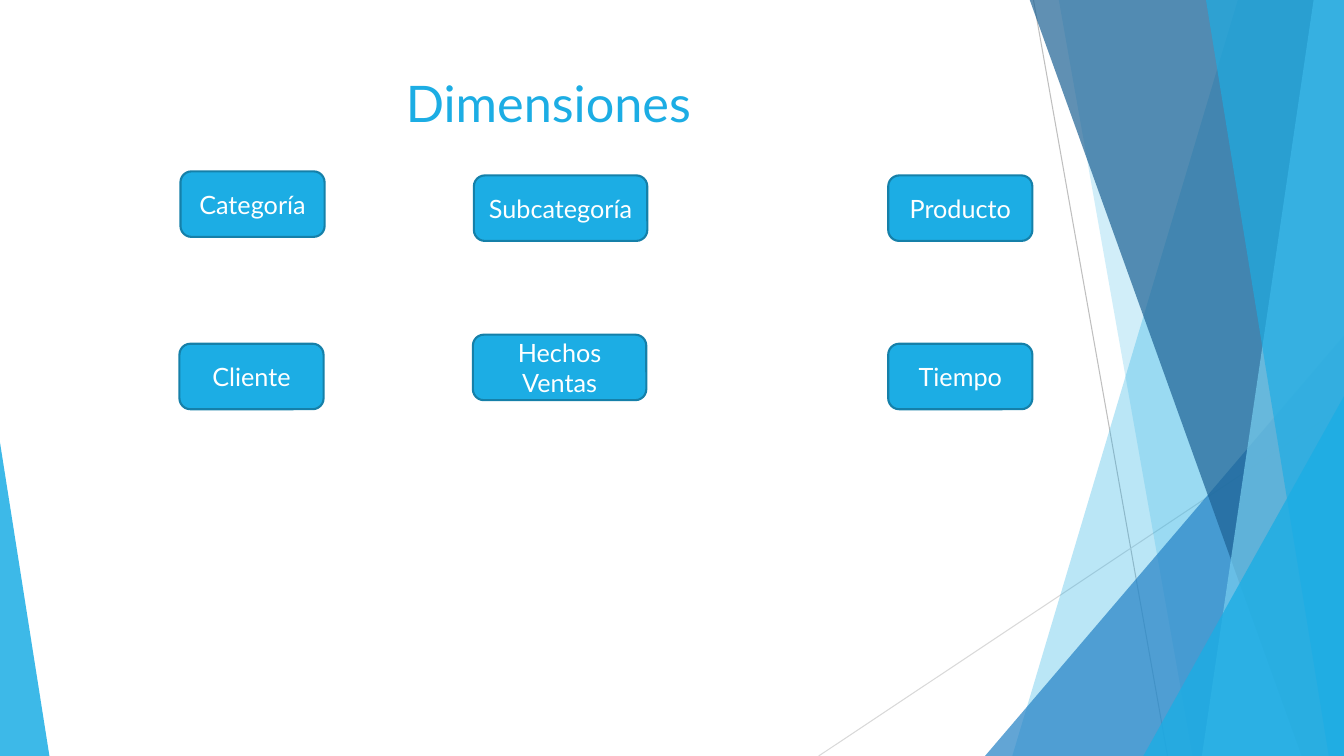
from typing import NamedTuple

from lxml import etree
from pptx import Presentation
from pptx.dml.color import RGBColor
from pptx.enum.shapes import MSO_CONNECTOR, MSO_SHAPE
from pptx.enum.text import MSO_ANCHOR, PP_ALIGN
from pptx.oxml.ns import qn
from pptx.util import Inches, Pt

WIDTH, HEIGHT = 13.33, 7.5
TOP = -0.01
FONT = "Lato"
COLORS = {
    "accent": "1CADE4", "blue": "2683C6", "navy": "1D6294", "sky": "77CEEF",
    "border": "1580A9", "white": "FFFFFF", "gray": "BFBFBF", "light": "D9D9D9",
}


class Ray(NamedTuple):
    x1: float
    y1: float
    x2: float
    y2: float
    color: str


class Band(NamedTuple):
    """Panel reaching the right edge, with a slanted left side."""
    top_x: float
    bottom_x: float
    color: str
    alpha: int


class Wedge(NamedTuple):
    """Triangle standing on the bottom edge."""
    left: float
    top: float
    width: float
    apex: float
    color: str
    alpha: int


class Box(NamedTuple):
    text: str
    left: float
    top: float
    width: float


RAYS = [
    Ray(10.25, 0, 11.58, HEIGHT, "gray"),
    Ray(WIDTH, 4.03, 8.12, HEIGHT, "light"),
]
FACETS = [
    Band(12.28, 10.04, "accent", 30),
    Band(10.5, 11.83, "accent", 20),
    Wedge(9.77, 3.33, 3.56, 1, "blue", 72),
    Band(10.21, 12.91, "navy", 70),
    Band(13.03, 11.92, "sky", 70),
    Band(11.96, 13.18, "accent", 65),
    Wedge(11.34, 3.93, 1.99, 1, "accent", 80),
    Wedge(0, 4.39, 0.49, 0, "accent", 85),
]
NARROW, WIDE, BOX_HEIGHT = 1.43, 1.72, 0.65
BOXES = [
    Box("Subcategoría", 4.7, 1.74, WIDE),
    Box("Categoría", 1.79, 1.7, NARROW),
    Box("Cliente", 1.78, 3.41, NARROW),
    Box("Producto", 8.81, 1.74, NARROW),
    Box("Tiempo", 8.81, 3.41, NARROW),
    Box("Hechos Ventas", 4.69, 3.32, WIDE),
]


def rgb(name: str) -> RGBColor:
    return RGBColor.from_string(COLORS[name])


def paint(sp, color: str, alpha: int = 100) -> None:
    sp.shadow.inherit = False
    sp.fill.solid()
    sp.fill.fore_color.rgb = rgb(color)
    if alpha < 100:
        clr = sp.fill._xPr.find(qn("a:solidFill"))[0]
        etree.SubElement(clr, qn("a:alpha")).set("val", str(alpha * 1000))


def write(sp, text: str, size: int, color: str) -> None:
    tf = sp.text_frame
    tf.word_wrap = True
    p = tf.paragraphs[0]
    p.text = text
    p.alignment = PP_ALIGN.CENTER
    font = p.runs[0].font
    font.name, font.size = FONT, Pt(size)
    font.color.rgb = rgb(color)


def draw_ray(s, ray: Ray) -> None:
    line = s.shapes.add_connector(
        MSO_CONNECTOR.STRAIGHT, *map(Inches, (ray.x1, ray.y1, ray.x2, ray.y2)))
    line.line.color.rgb = rgb(ray.color)
    line.line.width = Pt(0.75)
    etree.SubElement(line._element.spPr, qn("a:effectLst"))


def draw_facet(s, facet: Band | Wedge) -> None:
    if isinstance(facet, Band):
        corners = [(facet.top_x, TOP), (WIDTH, TOP), (WIDTH, HEIGHT),
                   (facet.bottom_x, HEIGHT)]
        points = [(Inches(x), Inches(y)) for x, y in corners]
        builder = s.shapes.build_freeform(*points[0])
        builder.add_line_segments(points[1:], close=True)
        sp = builder.convert_to_shape()
    else:
        sp = s.shapes.add_shape(
            MSO_SHAPE.ISOSCELES_TRIANGLE, Inches(facet.left), Inches(facet.top),
            Inches(facet.width), Inches(HEIGHT - facet.top))
        sp.adjustments[0] = facet.apex
    paint(sp, facet.color, facet.alpha)
    sp.line.fill.background()


def draw_box(s, box: Box) -> None:
    sp = s.shapes.add_shape(
        MSO_SHAPE.ROUNDED_RECTANGLE, Inches(box.left), Inches(box.top),
        Inches(box.width), Inches(BOX_HEIGHT))
    paint(sp, "accent")
    sp.line.color.rgb = rgb("border")
    sp.line.width = Pt(1.5)
    sp.text_frame.vertical_anchor = MSO_ANCHOR.MIDDLE
    write(sp, box.text, 18, "white")


def main() -> None:
    prs = Presentation()
    prs.slide_width, prs.slide_height = Inches(WIDTH), Inches(HEIGHT)
    s = prs.slides.add_slide(prs.slide_layouts[6])

    # Faceted background
    for ray in RAYS:
        draw_ray(s, ray)
    for facet in FACETS:
        draw_facet(s, facet)

    # Title
    title = s.shapes.add_textbox(
        Inches(0.74), Inches(0.67), Inches(9.4), Inches(1.44))
    write(title, "Dimensiones", 36, "accent")

    # Dimension and fact boxes
    for box in BOXES:
        draw_box(s, box)

    prs.save("out.pptx")


if __name__ == "__main__":
    main()
